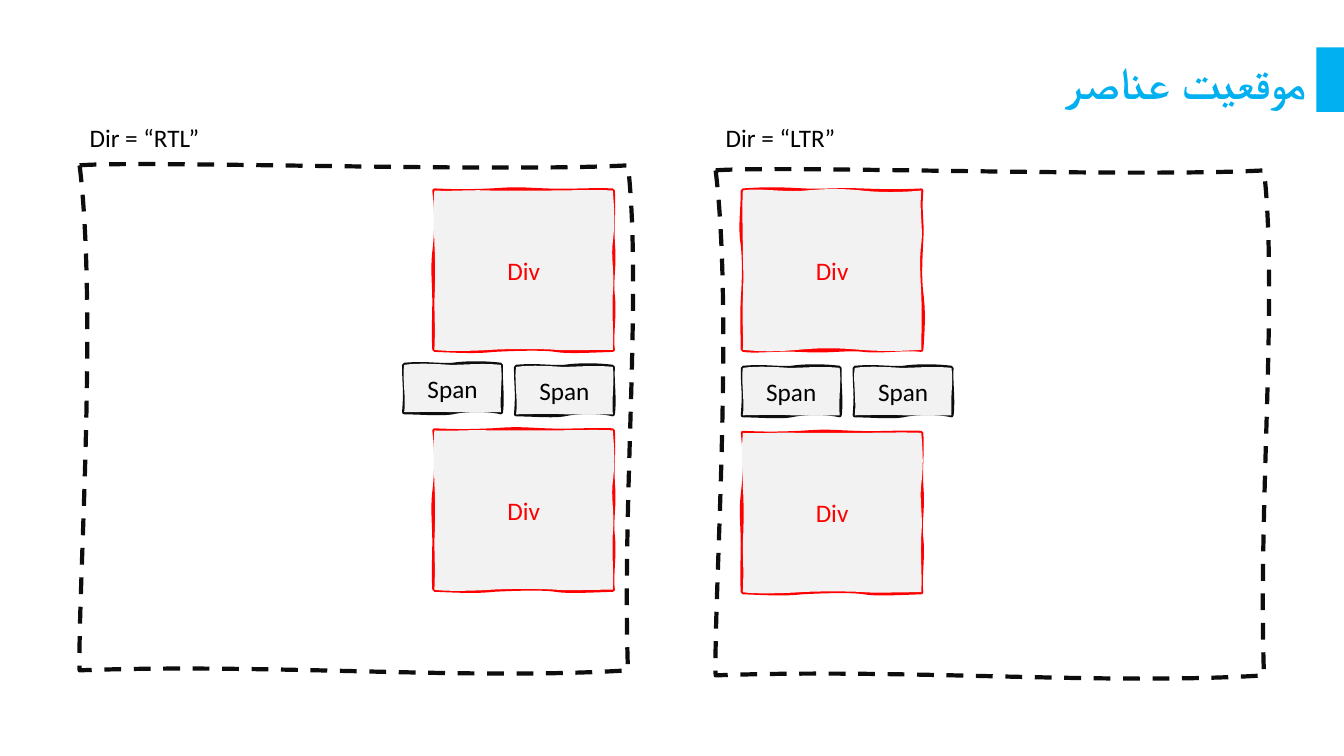
from lxml import etree
from pptx import Presentation
from pptx.dml.color import RGBColor
from pptx.enum.dml import MSO_LINE
from pptx.enum.shapes import MSO_SHAPE
from pptx.enum.text import MSO_ANCHOR, MSO_AUTO_SIZE, PP_ALIGN
from pptx.oxml.ns import qn
from pptx.util import Pt

RECTANGLE = MSO_SHAPE.RECTANGLE
DASH = MSO_LINE.DASH
MIDDLE = MSO_ANCHOR.MIDDLE
NO_AUTOFIT = MSO_AUTO_SIZE.NONE
LEFT, CENTER, RIGHT = PP_ALIGN.LEFT, PP_ALIGN.CENTER, PP_ALIGN.RIGHT

BLUE = RGBColor(0x00, 0xB0, 0xF0)
RED = RGBColor(0xFF, 0x00, 0x00)
BLACK = RGBColor(0x00, 0x00, 0x00)
INK = RGBColor(0x0D, 0x0D, 0x0D)
GRAY = RGBColor(0xF2, 0xF2, 0xF2)

TITLE = "موقعیت عناصر"
TITLE_FONT, BODY_FONT = "Karla", "Calibri"
UNIT = 0.72
LINE_WIDTH = 3

FRAME_SIZE, DIV_SIZE, SPAN_SIZE = (544, 501), (177, 158), (96, 47)

FRAME_OUTLINE = [
    (62, -5, 422, 7, 544, 0), (558, 125, 538, 332, 544, 501),
    (386, 511, 192, 494, 0, 501), (-2, 425, 18, 148, 0, 0),
]
DIV_OUTLINE = [
    (24, 1, 31, 1, 57, 0), (84, -2, 86, -1, 111, 0), (137, 1, 155, -1, 177, 0),
    (178, 26, 176, 29, 177, 53), (179, 76, 175, 88, 177, 105), (179, 123, 175, 146, 177, 158),
    (150, 159, 132, 160, 120, 158), (108, 156, 78, 157, 59, 158), (41, 160, 25, 159, 0, 158),
    (-1, 139, 0, 126, 0, 110), (0, 94, -2, 78, 0, 61), (2, 44, 3, 25, 0, 0),
]
DIV_FILL = [
    (18, 1, 35, -1, 56, 0), (76, 0, 95, 0, 111, 0), (127, 0, 164, -1, 177, 0),
    (179, 24, 179, 34, 177, 51), (175, 68, 179, 81, 177, 102), (176, 124, 178, 139, 177, 158),
    (151, 158, 133, 159, 120, 158), (108, 157, 72, 157, 57, 158), (43, 159, 12, 160, 0, 158),
    (1, 134, 0, 127, 0, 109), (1, 90, 1, 68, 0, 54), (0, 41, -2, 23, 0, 0),
]
LOOSE_DIV_OUTLINE = [
    (26, -2, 42, -1, 61, 0), (79, 1, 93, -1, 118, 0), (142, 1, 160, 1, 177, 0),
    (175, 23, 178, 26, 177, 48), (176, 69, 175, 86, 177, 102), (179, 118, 179, 131, 177, 158),
    (160, 156, 137, 160, 120, 158), (102, 156, 87, 160, 57, 158), (27, 157, 14, 160, 0, 158),
    (0, 148, -1, 125, 0, 109), (1, 93, 2, 73, 0, 54), (-3, 35, 0, 22, 0, 0),
]
LOOSE_DIV_FILL = [
    (13, -3, 41, 2, 62, 0), (84, -2, 100, -2, 118, 0), (136, 2, 156, 2, 177, 0),
    (175, 22, 179, 37, 177, 53), (175, 68, 176, 80, 177, 104), (178, 128, 177, 141, 177, 158),
    (164, 159, 139, 160, 116, 158), (93, 156, 77, 156, 55, 158), (33, 160, 19, 160, 0, 158),
    (1, 147, -1, 132, 0, 107), (1, 82, 0, 69, 0, 59), (0, 49, -1, 14, 0, 0),
]
SPAN_OUTLINE = [
    (22, -2, 35, 1, 48, 0), (61, -2, 81, -2, 96, 0), (95, 13, 98, 31, 96, 47),
    (85, 44, 60, 44, 48, 47), (36, 49, 17, 47, 0, 47), (2, 23, 0, 21, 0, 0),
]
SPAN_FILL = [
    (13, -2, 32, -1, 46, 0), (60, 0, 78, -2, 96, 0), (98, 15, 95, 24, 96, 47),
    (73, 47, 66, 47, 48, 47), (31, 46, 13, 47, 0, 47), (2, 34, -2, 12, 0, 0),
]

DIV = ("Div", DIV_SIZE, RED, RED, DIV_OUTLINE, DIV_FILL)
LOOSE_DIV = ("Div", DIV_SIZE, RED, RED, LOOSE_DIV_OUTLINE, LOOSE_DIV_FILL)
SPAN = ("Span", SPAN_SIZE, INK, BLACK, SPAN_OUTLINE, SPAN_FILL)

PANELS = [
    ("Dir = “LTR”", 710, 169,
     [(LOOSE_DIV, 737, 189), (DIV, 737, 429.5), (SPAN, 737, 365), (SPAN, 848, 365)]),
    ("Dir = “RTL”", 79, 164,
     [(DIV, 431, 189), (DIV, 431, 427), (SPAN, 512, 364), (SPAN, 401, 362)]),
]


def write_text(shape, text, font_name, size, color, alignment, bold=False):
    shape.text_frame.text = text
    paragraph = shape.text_frame.paragraphs[0]
    paragraph.alignment = alignment
    font = paragraph.runs[0].font
    font.name, font.size, font.bold = font_name, Pt(size), bold
    font.color.rgb = color


def add_path(path_list, size, curves, **options):
    path = etree.SubElement(path_list, qn("a:path"), w=str(size[0]), h=str(size[1]), **options)
    start = etree.SubElement(path, qn("a:moveTo"))
    etree.SubElement(start, qn("a:pt"), x="0", y="0")
    for curve in curves:
        segment = etree.SubElement(path, qn("a:cubicBezTo"))
        for x, y in zip(curve[::2], curve[1::2]):
            etree.SubElement(segment, qn("a:pt"), x=str(x), y=str(y))
    etree.SubElement(path, qn("a:close"))


def add_sketch(slide, left, top, size, line_color, outline, filling=None):
    width, height = size
    builder = slide.shapes.build_freeform(0, 0, scale=Pt(UNIT))
    builder.add_line_segments([(width, 0), (width, height), (0, height)])
    shape = builder.convert_to_shape(Pt(left * UNIT), Pt(top * UNIT))
    path_list = shape.element.spPr.find(".//" + qn("a:pathLst"))
    path_list.remove(path_list[0])
    add_path(path_list, size, outline, fill="none")
    if filling:
        add_path(path_list, size, filling, stroke="0")
        shape.fill.solid()
        shape.fill.fore_color.rgb = GRAY
    else:
        shape.fill.background()
    shape.line.color.rgb = line_color
    shape.line.width = Pt(LINE_WIDTH)
    shape.shadow.inherit = False
    return shape


def add_title(slide):
    title = slide.shapes.title
    title.left, title.top, title.width, title.height = Pt(460), Pt(35.28), Pt(480.3), Pt(46)
    write_text(title, TITLE, TITLE_FONT, 32, BLUE, RIGHT, True)
    title.text_frame.auto_size = NO_AUTOFIT
    title.text_frame.vertical_anchor = MIDDLE
    paragraph = title.text_frame.paragraphs[0]
    paragraph._p.get_or_add_pPr().set("rtl", "1")
    run_properties = paragraph.runs[0]._r.get_or_add_rPr()
    etree.SubElement(run_properties, qn("a:cs"), typeface=TITLE_FONT)

    accent = slide.shapes.add_shape(RECTANGLE, Pt(940.3), Pt(33.84), Pt(19.7), Pt(46))
    accent.fill.solid()
    accent.fill.fore_color.rgb = BLUE
    accent.line.fill.background()
    accent.shadow.inherit = False


def add_panel(slide, label, left, top, boxes):
    add_sketch(slide, left, top, FRAME_SIZE, INK, FRAME_OUTLINE).line.dash_style = DASH
    caption = slide.shapes.add_textbox(Pt(left * UNIT), Pt(83.5), Pt(202), Pt(29))
    caption.text_frame.word_wrap = True
    write_text(caption, label, BODY_FONT, 18, BLACK, LEFT)
    for (text, size, line_color, text_color, outline, filling), box_left, box_top in boxes:
        box = add_sketch(slide, box_left, box_top, size, line_color, outline, filling)
        box.text_frame.vertical_anchor = MIDDLE
        write_text(box, text, BODY_FONT, 18, text_color, CENTER)


def main():
    presentation = Presentation()
    presentation.slide_width, presentation.slide_height = Pt(960), Pt(540)
    slide = presentation.slides.add_slide(presentation.slide_layouts[5])
    add_title(slide)
    for panel in PANELS:
        add_panel(slide, *panel)
    presentation.save("out.pptx")


if __name__ == "__main__":
    main()
